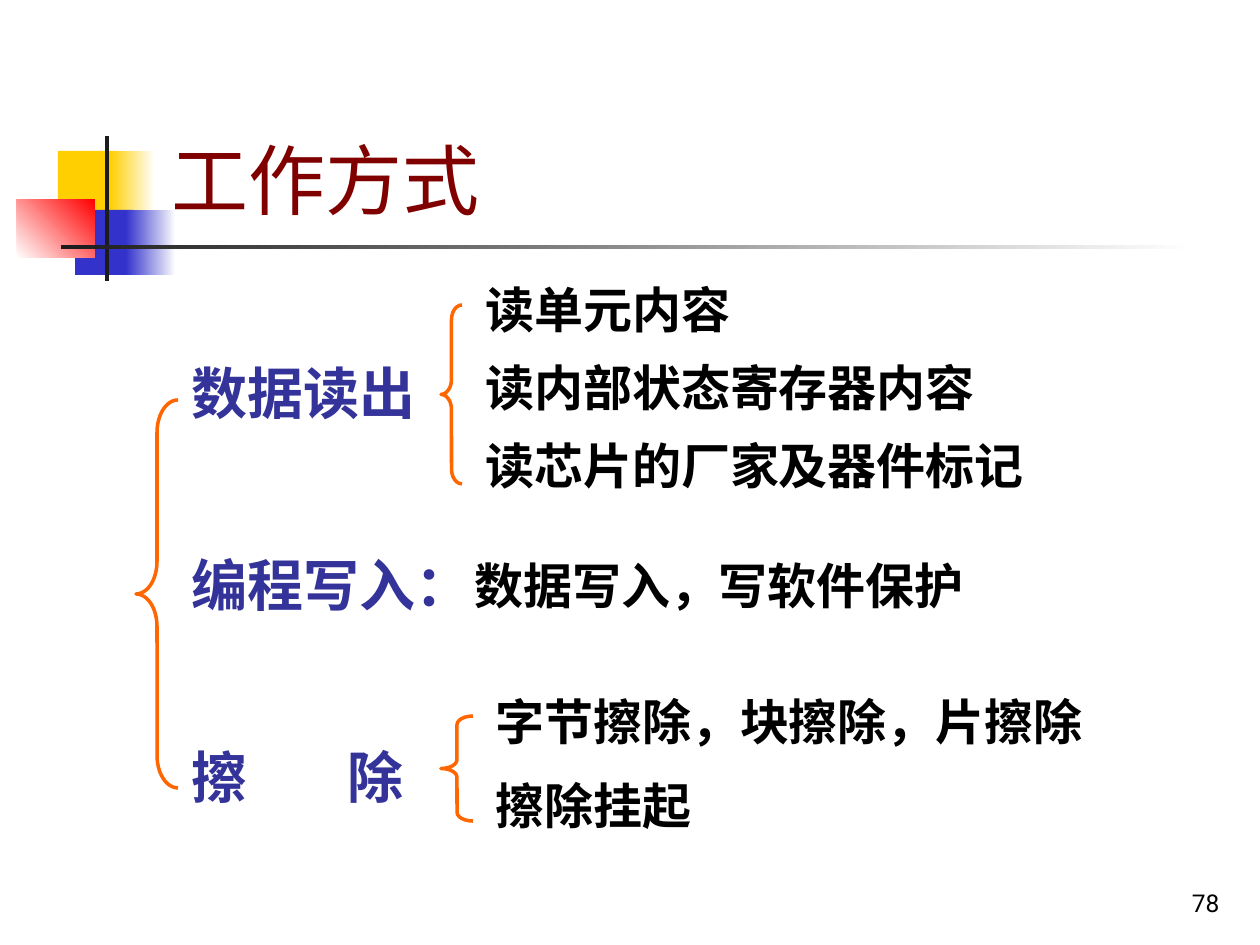
from lxml import etree
from pptx import Presentation
from pptx.dml.color import RGBColor
from pptx.enum.shapes import MSO_SHAPE
from pptx.enum.text import MSO_ANCHOR, MSO_AUTO_SIZE, PP_ALIGN
from pptx.oxml.ns import qn
from pptx.util import Emu, Pt

RECT, BRACE = MSO_SHAPE.RECTANGLE, MSO_SHAPE.LEFT_BRACE
TOP, BOTTOM = MSO_ANCHOR.TOP, MSO_ANCHOR.BOTTOM
LEFT, RIGHT = PP_ALIGN.LEFT, PP_ALIGN.RIGHT
FIXED = MSO_AUTO_SIZE.NONE
SCALE = 914400 / 126
COLORS = {
    "gold": "FFCF01", "blue": "3333CC", "red": "FF0000", "white": "FFFFFF",
    "dark": "1C1C1C", "black": "000000", "title": "800000",
    "label": "333399", "brace": "FF6600",
}


def px(n):
    """Turn pixels into EMU."""
    return Emu(round(n * SCALE))


def tint(name):
    """Look up a colour by name."""
    return RGBColor.from_string(COLORS[name])


def write(frame, text, size=28, color="black", font="Times New Roman", bold=True,
          align=LEFT, anchor=TOP, line=1.0, gap=0, tab=None):
    """Fill a text frame with one paragraph per line of text."""
    frame.word_wrap = True
    frame.auto_size = FIXED
    frame.vertical_anchor = anchor
    for i, words in enumerate(text.split("\n")):
        para = frame.paragraphs[0] if i == 0 else frame.add_paragraph()
        para.alignment = align
        para.line_spacing = line
        para.space_before = Pt(gap)
        if tab:
            stops = etree.SubElement(para._p.get_or_add_pPr(), qn("a:tabLst"))
            etree.SubElement(stops, qn("a:tab"), pos=str(px(tab)), algn="l")
        run = para.add_run()
        run.text = words
        run.font.size = Pt(size)
        run.font.name = font
        run.font.bold = bold
        run.font.color.rgb = tint(color)


class Deck:
    """Hold the style and the current slide."""

    def __init__(self):
        """Start a deck with one title-only slide."""
        self.prs = Presentation()
        self.prs.slide_width, self.prs.slide_height = px(1260), px(945)
        self.slide = self.prs.slides.add_slide(self.prs.slide_layouts[5])
        self.shapes = self.slide.shapes

    def title(self, text, *box, **style):
        """Place and fill the title."""
        head = self.shapes.title
        head.left, head.top, head.width, head.height = map(px, box)
        write(head.text_frame, text, **style)

    def text(self, text, *box, **style):
        """Add a text box."""
        write(self.shapes.add_textbox(*map(px, box)).text_frame, text, **style)

    def block(self, *box, color, end=None, angle=0):
        """Add a rectangle with a plain or fading fill."""
        rect = self.shapes.add_shape(RECT, *map(px, box))
        rect.shadow.inherit = False
        rect.line.fill.background()
        if end is None:
            rect.fill.solid()
            rect.fill.fore_color.rgb = tint(color)
            return
        rect.fill.gradient()
        rect.fill.gradient_angle = angle
        for stop, name in zip(rect.fill.gradient_stops, (color, end)):
            stop.color.rgb = tint(name)

    def brace(self, left, top, width, height):
        """Add a left brace whose curls are a twelfth of its height."""
        mark = self.shapes.add_shape(BRACE, *map(px, (left, top, width, height)))
        mark.shadow.inherit = False
        mark.adjustments[0] = height / 12 / width
        mark.fill.background()
        mark.line.color.rgb = tint("brace")
        mark.line.width = Pt(2)


def main():
    """Build the slide and save it."""
    deck = Deck()
    deck.block(58, 151, 60, 66, color="gold")
    deck.block(110, 151, 45, 66, color="gold", end="white")
    deck.block(75, 210, 58, 65, color="blue")
    deck.block(126, 210, 50, 65, color="blue", end="white")
    deck.block(17, 199, 78, 59, color="white", end="red", angle=45)
    deck.block(105, 136, 4, 145, color="dark")
    deck.block(61, 245, 1134, 4, color="dark", end="white")

    deck.title("工作方式", 159, 29, 1074, 202, size=44, color="title",
               font="Roboto", bold=False, anchor=BOTTOM)
    deck.text("78", 970, 861, 262, 63, size=14, font="Roboto", bold=False,
              align=RIGHT, anchor=BOTTOM)
    deck.text("数据读出\n编程写入：\n擦\t除", 179, 360, 315, 456, size=32,
              color="label", line=0.9, gap=75, tab=156)
    deck.text("读单元内容\n读内部状态寄存器内容\n读芯片的厂家及器件标记",
              473, 285, 651, 215, line=0.8, gap=17.5)
    deck.text("数据写入，写软件保护", 462, 549, 588, 72)
    deck.text("字节擦除，块擦除，片擦除\n擦除挂起", 483, 692, 651, 150,
              line=0.9, gap=17.5)

    deck.brace(441, 305, 21, 179)
    deck.brace(441, 716, 32, 105)
    deck.brace(136, 400, 42, 388)
    deck.prs.save("out.pptx")


if __name__ == "__main__":
    main()
